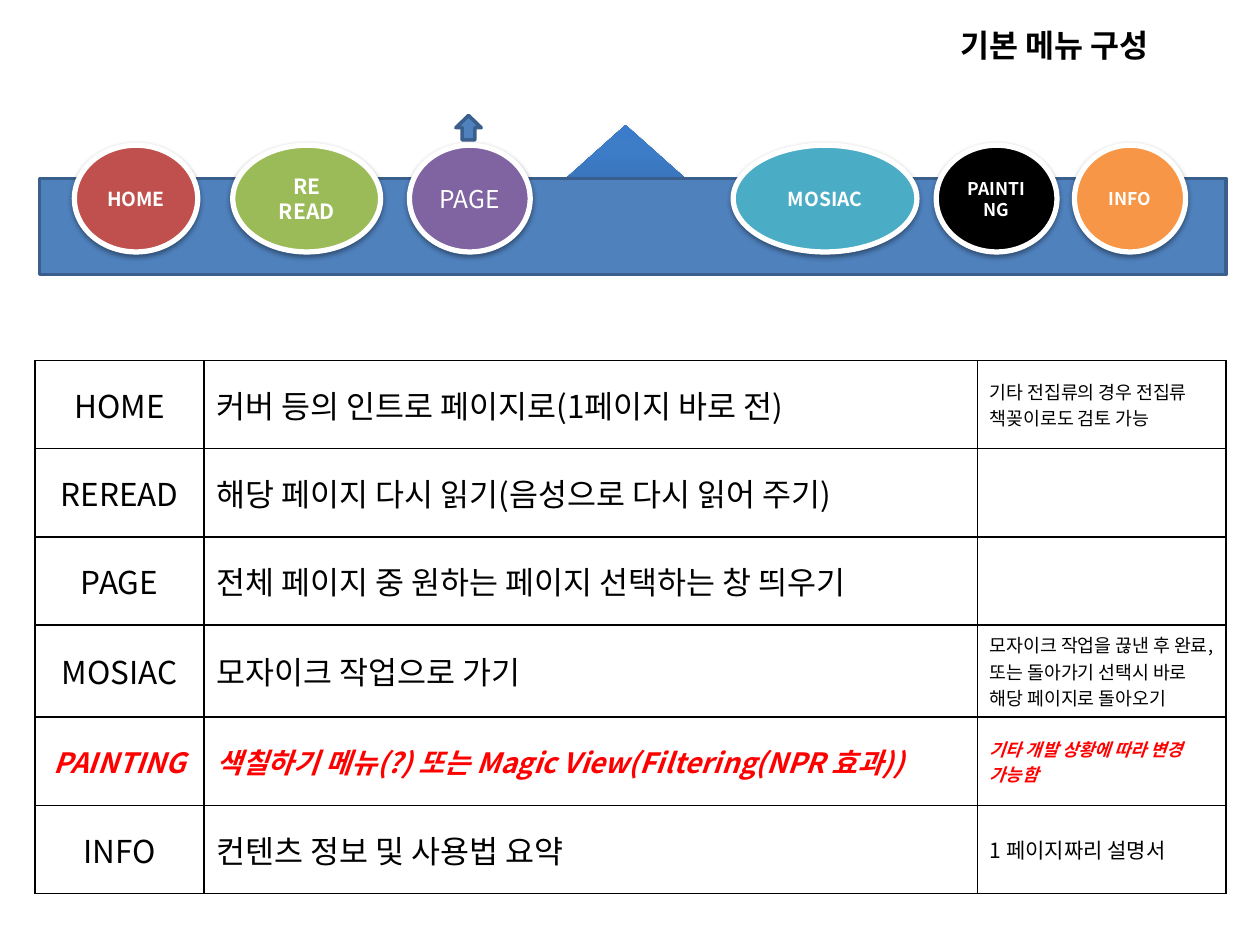
import copy
from dataclasses import dataclass

import lxml.etree
import pptx
import pptx.dml.color
import pptx.enum.shapes
import pptx.enum.text
import pptx.oxml.ns
import pptx.util

Pt = pptx.util.Pt
Kind = pptx.enum.shapes.MSO_SHAPE
Align = pptx.enum.text.PP_ALIGN
Anchor = pptx.enum.text.MSO_ANCHOR
qn = pptx.oxml.ns.qn


@dataclass(frozen=True)
class Theme:
    face: str = "Noto Sans CJK KR"
    head: str = "Lato"
    black: str = "000000"
    white: str = "FFFFFF"
    alert: str = "FF0000"
    bar: str = "4F81BD"
    edge: str = "3A5F8C"
    fade: tuple = ((0, "2F5F99"), (0.8, "3D7CC7"), (1, "3A7CCB"))
    red: str = "C0504D"
    green: str = "9BBB59"
    violet: str = "8064A2"
    teal: str = "4BACC6"
    orange: str = "F79646"
    large: float = 18
    strong: float = 16
    page: float = 14
    mid: float = 12
    label: float = 11
    note: float = 10.5
    small: float = 10


def rgb(code):
    return pptx.dml.color.RGBColor.from_string(code)


def apply(target, values):
    for name, value in values.items():
        setattr(target, name, value)


def node(parent, tag, **values):
    return lxml.etree.SubElement(parent, qn(tag), {k: str(v) for k, v in values.items()})


class Deck:
    def __init__(self, theme):
        self.theme = theme
        self.show = pptx.Presentation()
        apply(self.show, {"slide_width": Pt(720), "slide_height": Pt(540)})
        self.slide = self.show.slides.add_slide(self.show.slide_layouts[6])
        self.group = None

    def start_group(self):
        self.group = self.slide.shapes.add_group_shape()

    def label(self, frame, text, size, color, align=Align.LEFT, face=None, **style):
        frame.text = text
        for para in frame.paragraphs:
            para.alignment = align
            for run in para.runs:
                apply(run.font, {"size": Pt(size), "name": face or self.theme.face, **style})
                run.font.color.rgb = rgb(color)
                node(run._r.get_or_add_rPr(), "a:ea", typeface=self.theme.face)

    def shape(self, kind, box, fill=None, edge=None, width=2):
        home = self.group.shapes if self.group else self.slide.shapes
        item = home.add_shape(kind, *map(Pt, box))
        item.shadow.inherit = False
        if fill:
            item.fill.solid()
            item.fill.fore_color.rgb = rgb(fill)
        if edge:
            item.line.color.rgb = rgb(edge)
            item.line.width = Pt(width)
        else:
            item.line.fill.background()
        return item

    def shade(self, item, alpha, blur, dist):
        effect = item._element.spPr.find(qn("a:effectLst"))
        outer = node(effect, "a:outerShdw", blurRad=Pt(blur), dist=Pt(dist),
                     dir=5400000, rotWithShape=0)
        color = node(outer, "a:srgbClr", val=self.theme.black)
        node(color, "a:alpha", val=alpha * 1000)

    def peak(self, box):
        item = self.shape(Kind.UP_ARROW, box)
        item.adjustments[0], item.adjustments[1] = 0.78, 0.5
        item.fill.gradient()
        item.fill.gradient_angle = 90
        stops = item._element.spPr.find(qn("a:gradFill")).find(qn("a:gsLst"))
        stops.append(copy.deepcopy(stops[-1]))
        for stop, (place, color) in zip(item.fill.gradient_stops, self.theme.fade):
            stop.position = place
            stop.color.rgb = rgb(color)
        self.shade(item, 35, 3.1, 1.8)

    def button(self, left, width, text, fill, size, bold=True):
        item = self.shape(Kind.OVAL, (left, 83, width, 61), fill, self.theme.white, 3)
        self.shade(item, 38, 3.1, 1.6)
        apply(item.text_frame, {"word_wrap": True, "vertical_anchor": Anchor.MIDDLE})
        self.label(item.text_frame, text, size, self.theme.white, Align.CENTER, bold=bold)

    def title(self, text, box):
        frame = self.slide.shapes.add_textbox(*map(Pt, box)).text_frame
        frame.word_wrap = True
        self.label(frame, text, self.theme.large, self.theme.black,
                   face=self.theme.head, bold=True)

    def frame_cell(self, cell):
        props = cell._tc.get_or_add_tcPr()
        for side in ("a:lnL", "a:lnR", "a:lnT", "a:lnB"):
            line = node(props, side, w=Pt(1))
            node(node(line, "a:solidFill"), "a:srgbClr", val=self.theme.black)
        cell.fill.background()
        cell.vertical_anchor = Anchor.MIDDLE

    def table(self, spot, widths, height, rows):
        size = sum(widths), height * len(rows)
        grid = self.slide.shapes.add_table(
            len(rows), len(widths), *map(Pt, spot + size)).table
        apply(grid, {"first_row": False, "horz_banding": False})
        for col, width in zip(grid.columns, widths):
            col.width = Pt(width)
        for r, (name, text, note, main, minor, alert) in enumerate(rows):
            grid.rows[r].height = Pt(height)
            color = self.theme.alert if alert else self.theme.black
            for c, (words, points) in enumerate(((name, main), (text, main), (note, minor))):
                cell = grid.cell(r, c)
                self.frame_cell(cell)
                self.label(cell.text_frame, words, points, color,
                           Align.LEFT if c else Align.CENTER, bold=alert, italic=alert)


def main():
    t = Theme()
    deck = Deck(t)
    deck.shape(Kind.UP_ARROW, (260.5, 66, 14.5, 14), t.bar, t.edge)

    deck.start_group()
    deck.peak((315.5, 71.5, 84, 75))
    deck.shape(Kind.RECTANGLE, (22.5, 102, 678, 55), t.bar, t.edge)
    for button in (
        (42.5, 70.5, "HOME", t.red, t.label),
        (133, 84.5, "RE\nREAD", t.green, t.mid),
        (419, 105, "MOSIAC", t.teal, t.label),
        (234, 69, "PAGE", t.violet, t.page, False),
        (614, 63.5, "INFO", t.orange, t.small),
        (535, 69, "PAINTING", t.black, t.small),
    ):
        deck.button(*button)

    deck.table((20, 206), (96.5, 442, 142), 50.4, (
        ("HOME", "커버 등의 인트로 페이지로(1페이지 바로 전)",
         "기타 전집류의 경우 전집류 책꽂이로도 검토 가능", t.large, t.note, False),
        ("REREAD", "해당 페이지 다시 읽기(음성으로 다시 읽어 주기)",
         "", t.large, t.note, False),
        ("PAGE", "전체 페이지 중 원하는 페이지 선택하는 창 띄우기",
         "", t.large, t.note, False),
        ("MOSIAC", "모자이크 작업으로 가기",
         "모자이크 작업을 끊낸 후 완료, 또는 돌아가기 선택시 바로 해당 페이지로 돌아오기",
         t.large, t.note, False),
        ("PAINTING", "색칠하기 메뉴(?) 또는 Magic View(Filtering(NPR 효과))",
         "기타 개발 상황에 따라 변경 가능함", t.strong, t.small, True),
        ("INFO", "컨텐츠 정보 및 사용법 요약",
         "1 페이지짜리 설명서", t.large, t.mid, False),
    ))
    deck.title("기본 메뉴 구성", (541.5, 11.5, 153.5, 29))
    deck.show.save("out.pptx")


if __name__ == "__main__":
    main()
